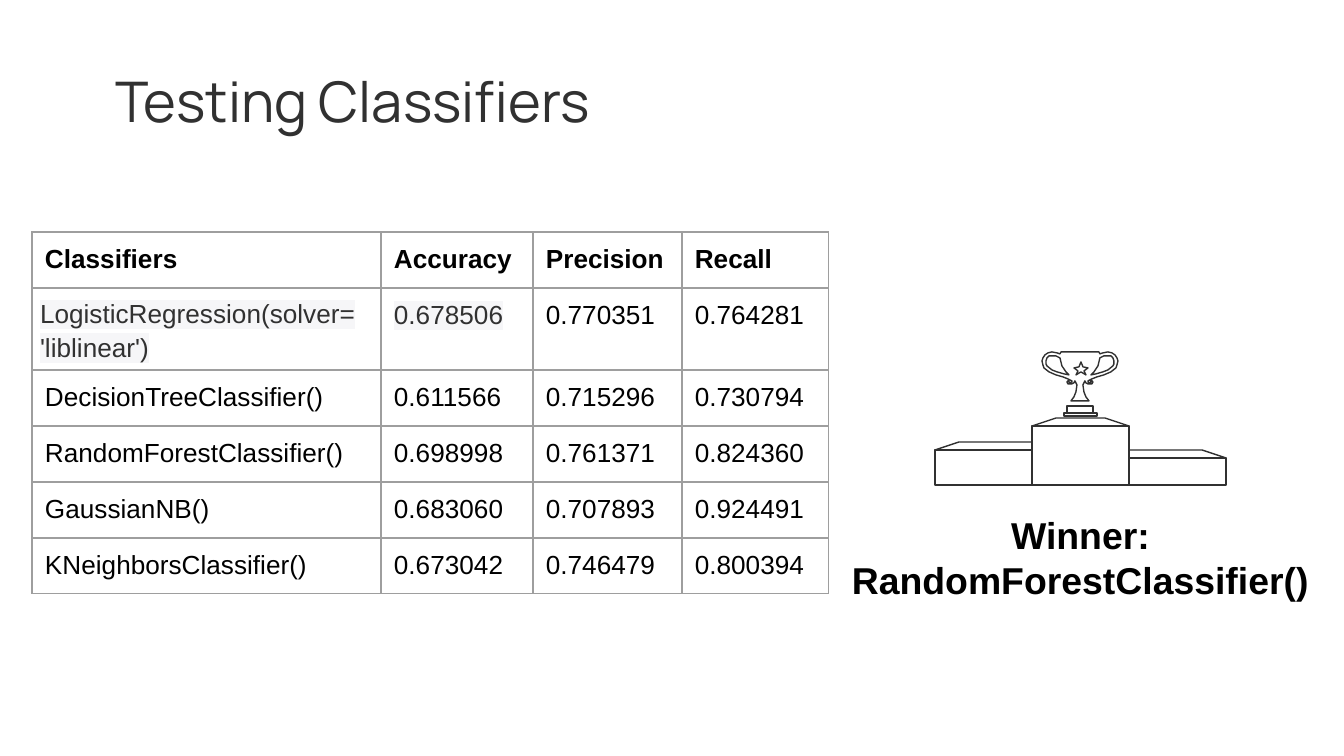
from lxml.etree import SubElement
from pptx import Presentation
from pptx.dml.color import RGBColor
from pptx.enum.text import MSO_ANCHOR, PP_ALIGN
from pptx.oxml.ns import qn
from pptx.util import Pt

EMU_PER_PX = 914400 / 134.4
INK, BLACK, GRID, HIGHLIGHT = "313131", "000000", "9E9E9E", "F6F6F8"

HEADERS = ["Classifiers", "Accuracy", "Precision", "Recall"]
SCORES = [
    ["LogisticRegression(solver= 'liblinear')", "0.678506", "0.770351", "0.764281"],
    ["DecisionTreeClassifier()", "0.611566", "0.715296", "0.730794"],
    ["RandomForestClassifier()", "0.698998", "0.761371", "0.824360"],
    ["GaussianNB()", "0.683060", "0.707893", "0.924491"],
    ["KNeighborsClassifier()", "0.673042", "0.746479", "0.800394"],
]
COLUMN_WIDTHS = [349, 152, 149, 147]
ROW_HEIGHTS = [56, 82, 56, 56, 56, 56]

CUP_HALF = [
    (0, 0), (19, 0), (20, 2), (23, 1), (28, 0), (32, 1), (35, 3), (37, 6),
    (38, 9), (37, 13), (36, 16), (31, 20), (24, 23), (17, 25), (12, 27),
    (8, 29), (8, 30), (10, 31), (11, 30), (11, 28), (13, 30), (12, 32),
    (8, 32), (6, 31), (5, 29), (3, 33), (4, 40), (6, 45), (9, 49),
]
HANDLE_HOLE = [
    (34, 12), (33, 14), (28, 18), (23, 20), (16, 22), (11, 23), (14, 20),
    (18, 14), (20, 6), (24, 4), (28, 4), (31, 4), (33, 6), (34, 9),
]
STAR_HALF = [(0, 10), (2, 15), (7, 16), (3, 19), (5, 23), (0, 20)]


def px(length):
    """Turn px into EMU."""
    return round(length * EMU_PER_PX)


def rgb(value):
    """Turn a hex string into a colour."""
    return RGBColor.from_string(value)


def set_insets(frame, across, down):
    """Set the side and the top and bottom margins of a frame or cell."""
    frame.margin_left = frame.margin_right = px(across)
    frame.margin_top = frame.margin_bottom = px(down)


def format_run(run, size, color, bold=False, name="Arial"):
    """Give a run its font."""
    run.font.size = Pt(size)
    run.font.bold = bold
    run.font.color.rgb = rgb(color)
    run.font.name = name


def highlight(run):
    """Shade the background of a run."""
    properties = run.font._element
    shade = SubElement(properties, qn("a:highlight"))
    SubElement(shade, qn("a:srgbClr"), val=HIGHLIGHT)
    properties.find(qn("a:solidFill")).addnext(shade)


def add_borders(cell):
    """Draw thin grid lines on all four sides of a cell."""
    properties = cell._tc.get_or_add_tcPr()
    for side in ("a:lnL", "a:lnR", "a:lnT", "a:lnB"):
        line = SubElement(properties, qn(side), w=str(Pt(0.75)))
        SubElement(SubElement(line, qn("a:solidFill")), qn("a:srgbClr"), val=GRID)


def add_title(slide, left, top, width, height):
    """Place the slide title."""
    title = slide.shapes.title
    title.left, title.top, title.width, title.height = map(px, (left, top, width, height))
    frame = title.text_frame
    frame.text = "Testing Classifiers"
    frame.word_wrap = True
    frame.vertical_anchor = MSO_ANCHOR.MIDDLE
    set_insets(frame, 13, 13)
    frame.paragraphs[0].alignment = PP_ALIGN.LEFT
    format_run(frame.paragraphs[0].runs[0], 30, INK, name="Manrope")


def add_score_table(slide, left, top):
    """Build the table of scores for each classifier."""
    rows = [HEADERS] + SCORES
    table = slide.shapes.add_table(
        len(rows), len(HEADERS), px(left), px(top),
        px(sum(COLUMN_WIDTHS)), px(sum(ROW_HEIGHTS))).table
    table.first_row = table.horz_banding = False
    for column, width in zip(table.columns, COLUMN_WIDTHS):
        column.width = px(width)
    for r, (values, height) in enumerate(zip(rows, ROW_HEIGHTS)):
        table.rows[r].height = px(height)
        for c, value in enumerate(values):
            cell = table.cell(r, c)
            cell.text = value
            set_insets(cell, 13, 13)
            add_borders(cell)
            cell.fill.background()
            shaded = r == 1 and c < 2
            run = cell.text_frame.paragraphs[0].runs[0]
            format_run(run, 14, INK if shaded else BLACK, bold=r == 0)
            if shaded:
                highlight(run)
    logistic = table.cell(1, 0)
    set_insets(logistic, 8, 7)
    logistic.vertical_anchor = MSO_ANCHOR.MIDDLE
    logistic.text_frame.paragraphs[0].line_spacing = 1.15


def add_winner(slide, left, top, width, height):
    """Name the winning classifier."""
    frame = slide.shapes.add_textbox(*map(px, (left, top, width, height))).text_frame
    frame.word_wrap = True
    set_insets(frame, 13, 13)
    frame.text = "Winner:\nRandomForestClassifier()"
    for paragraph in frame.paragraphs:
        paragraph.alignment = PP_ALIGN.CENTER
        format_run(paragraph.runs[0], 20, BLACK, bold=True)


def add_outline(slide, left, top, *contours):
    """Draw closed contours as one unfilled shape relative to a corner."""
    builder = slide.shapes.build_freeform(*contours[0][0], scale=EMU_PER_PX)
    builder.add_line_segments(contours[0][1:], close=True)
    for contour in contours[1:]:
        builder.move_to(*contour[0])
        builder.add_line_segments(contour[1:], close=True)
    outline = builder.convert_to_shape(px(left), px(top))
    outline.shadow.inherit = False
    outline.fill.background()
    outline.line.color.rgb = rgb(INK)
    outline.line.width = Pt(0.75)


def mirror(points):
    """Reflect points across the vertical axis."""
    return [(-x, y) for x, y in reversed(points)]


def box(x1, y1, x2, y2):
    """List the corners of a rectangle."""
    return [(x1, y1), (x2, y1), (x2, y2), (x1, y2)]


def add_podium(slide, left, top, step=97, base=59):
    """Draw three steps, each with a slanted lid and a front."""
    lids = [(24, step, 24), (step + 24, 2 * step - 24, 0), (2 * step, 3 * step - 24, 32)]
    for place, (back_left, back_right, lid_top) in enumerate(lids):
        x1, x2, front_top = place * step, (place + 1) * step, lid_top + 8
        lid = [(back_right, lid_top), (back_left, lid_top), (x1, front_top), (x2, front_top)]
        add_outline(slide, left, top + 8, lid)
        add_outline(slide, left, top + 8, box(x1, front_top, x2, base + 8))


def add_trophy(slide, axis, top):
    """Draw the cup, its star and its base around a vertical axis."""
    add_outline(slide, axis, top, CUP_HALF + mirror(CUP_HALF), HANDLE_HOLE, mirror(HANDLE_HOLE))
    add_outline(slide, axis, top, box(-13, 54, 13, 61))
    add_outline(slide, axis, top, box(-16, 61, 17, 64))
    add_outline(slide, axis + 1, top, STAR_HALF + mirror(STAR_HALF)[1:-1])


def main():
    """Build and save the slide."""
    deck = Presentation()
    deck.slide_width, deck.slide_height = px(1344), px(756)
    slide = deck.slides.add_slide(deck.slide_layouts[5])
    add_title(slide, 102, 58, 1064, 85)
    add_score_table(slide, 32, 232)
    add_winner(slide, 817, 499, 527, 118)
    add_podium(slide, 935, 410)
    add_trophy(slide, 1080, 352)
    deck.save("out.pptx")


if __name__ == "__main__":
    main()
